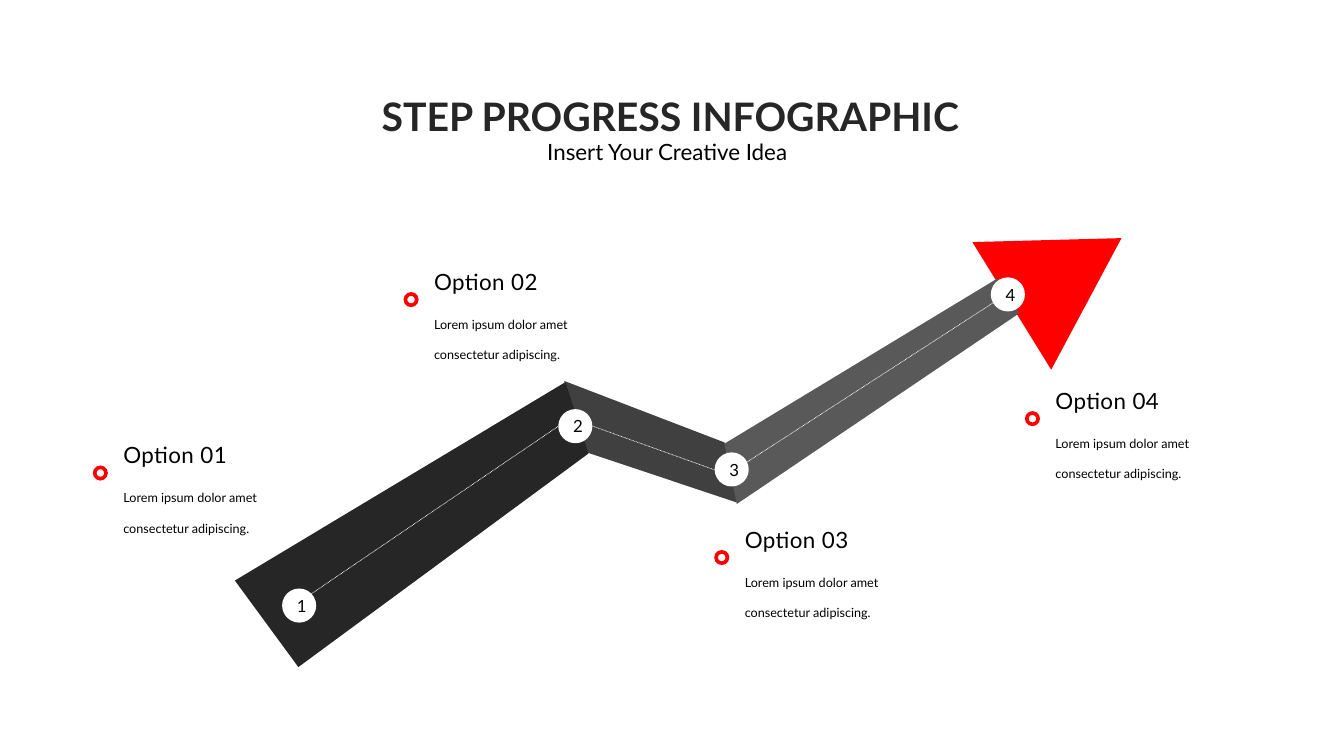
from pptx import Presentation
from pptx.dml.color import RGBColor
from pptx.enum.dml import MSO_LINE
from pptx.enum.shapes import MSO_CONNECTOR, MSO_SHAPE
from pptx.enum.text import MSO_ANCHOR, PP_ALIGN
from pptx.oxml.ns import qn
from pptx.util import Cm, Pt
from lxml import etree

OVAL, DONUT, TRIANGLE = MSO_SHAPE.OVAL, MSO_SHAPE.DONUT, MSO_SHAPE.ISOSCELES_TRIANGLE
STRAIGHT = MSO_CONNECTOR.STRAIGHT
DOTTED = MSO_LINE.ROUND_DOT
LEFT, CENTER = PP_ALIGN.LEFT, PP_ALIGN.CENTER
MIDDLE = MSO_ANCHOR.MIDDLE

RED = RGBColor(0xFF, 0x00, 0x00)
WHITE = RGBColor(0xFF, 0xFF, 0xFF)
BLACK = RGBColor(0x00, 0x00, 0x00)
CHARCOAL = RGBColor(0x26, 0x26, 0x26)
DARK_GREY = RGBColor(0x40, 0x40, 0x40)
MID_GREY = RGBColor(0x59, 0x59, 0x59)

FONT = "Lato"
STEP_SIZE = 0.86
BULLET_SIZE = 0.38
OPTION_PITCH = 7.83

# Coordinates in cm, relative to the region that holds them
ROAD_SECTIONS = [
    (DARK_GREY, [(8.3, 4.37), (12.34, 5.92), (12.67, 7.44), (8.81, 6.15)]),
    (CHARCOAL, [(0, 9.4), (8.33, 4.4), (8.91, 6.2), (1.6, 11.58)]),
    (MID_GREY, [(12.34, 5.95), (19.23, 1.78), (19.76, 2.67), (12.65, 7.47)]),
]
LANE_MARKINGS = [
    ((1.93, 9.73), (8.15, 5.51)),
    ((9.02, 5.51), (12.09, 6.61)),
    ((12.6, 6.61), (19.48, 2.16)),
]
STEPS = [(1.19, 9.6), (8.15, 5.08), (12.09, 6.17), (19.05, 1.76)]
OPTION_TOPS = [11, 6.63, 13.13, 9.63]
OPTION_LINES = ["Lorem ipsum dolor amet", "consectetur adipiscing."]


def paint(shape, color):
    shape.shadow.inherit = False
    shape.fill.solid()
    shape.fill.fore_color.rgb = color
    shape.line.fill.background()


def write(shape, lines, size, color=BLACK, align=LEFT, bold=False, spacing=1):
    frame = shape.text_frame
    frame.word_wrap = True
    frame.text = "\n".join(lines)
    for paragraph in frame.paragraphs:
        paragraph.alignment = align
        paragraph.line_spacing = spacing
        font = paragraph.font
        font.name, font.size, font.bold = FONT, Pt(size), bold
        font.color.rgb = color


def add_text(slide, left, top, width, height, lines, size, **style):
    box = slide.shapes.add_textbox(Cm(left), Cm(top), Cm(width), Cm(height))
    write(box, lines, size, **style)
    return box


def add_heading(slide, left, top, width):
    add_text(slide, left, top, width, 1.45, ["STEP PROGRESS INFOGRAPHIC"], 28,
             color=CHARCOAL, align=CENTER, bold=True)
    inset = 4.39
    add_text(slide, left + inset, top + 1.14, width - 2 * inset, 0.94,
             ["Insert Your Creative Idea "], 16, align=CENTER)


def add_road(slide, left, top):
    """Draw the folded arrow with its lane markings and numbered steps."""
    shapes = slide.shapes

    def place(x, y):
        return Cm(left + x), Cm(top + y)

    arrowhead = shapes.add_shape(TRIANGLE, *place(19.07, 0), Cm(3.78), Cm(3.25))
    arrowhead.rotation = 58.3
    paint(arrowhead, RED)

    for color, corners in ROAD_SECTIONS:
        start, *others = [place(*corner) for corner in corners]
        outline = shapes.build_freeform(*start)
        outline.add_line_segments(others, close=True)
        paint(outline.convert_to_shape(), color)

    for start, end in LANE_MARKINGS:
        marking = shapes.add_connector(STRAIGHT, *place(*start), *place(*end))
        marking.line.color.rgb = WHITE
        marking.line.width = Pt(0.5)
        marking.line.dash_style = DOTTED
        etree.SubElement(marking._element.spPr, qn("a:effectLst"))

    for number, corner in enumerate(STEPS, 1):
        step = shapes.add_shape(OVAL, *place(*corner), Cm(STEP_SIZE), Cm(STEP_SIZE))
        paint(step, WHITE)
        write(step, [str(number)], 12, align=CENTER)
        step.text_frame.vertical_anchor = MIDDLE


def add_option(slide, left, top, number):
    text_left = left + 0.52
    title = add_text(slide, text_left, top, 3.76, 0.94, [f"Option {number:02}"], 16)
    title.text_frame.paragraphs[0].runs[0]._r.get_or_add_rPr().set("spc", "30")
    add_text(slide, text_left, top + 0.85, 4.5, 1.8, OPTION_LINES, 9, spacing=2.0)
    bullet = slide.shapes.add_shape(DONUT, Cm(left), Cm(top + 0.73),
                                    Cm(BULLET_SIZE), Cm(BULLET_SIZE))
    paint(bullet, RED)


def main():
    deck = Presentation()
    deck.slide_width, deck.slide_height = Cm(33.87), Cm(19.05)
    slide = deck.slides.add_slide(deck.slide_layouts[6])
    add_road(slide, 5.92, 5.23)
    for index, top in enumerate(OPTION_TOPS):
        add_option(slide, 2.34 + index * OPTION_PITCH, top, index + 1)
    add_heading(slide, 8.28, 2.21, 17.22)
    deck.save("out.pptx")


if __name__ == "__main__":
    main()
